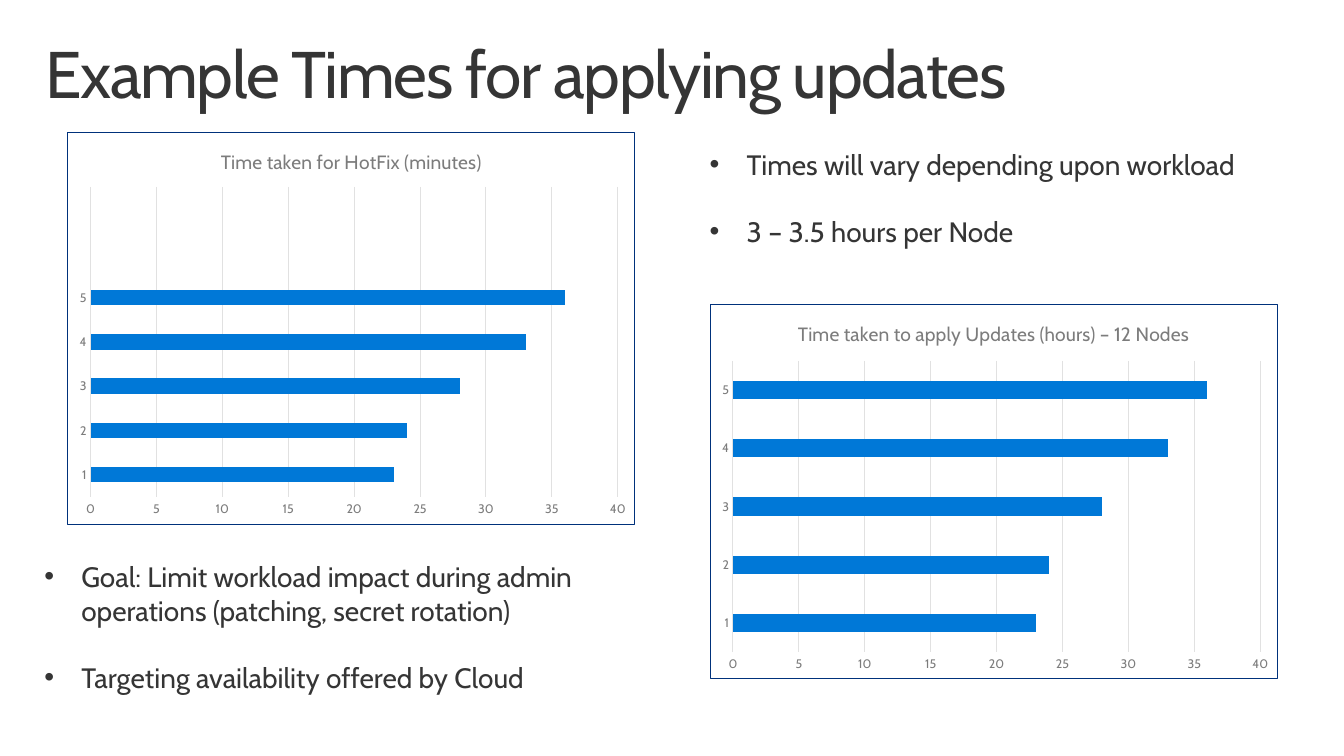
from lxml.etree import SubElement
from pptx import Presentation
from pptx.chart.data import CategoryChartData
from pptx.dml.color import RGBColor
from pptx.enum.chart import XL_CHART_TYPE, XL_TICK_MARK
from pptx.enum.text import MSO_ANCHOR
from pptx.oxml import parse_xml
from pptx.oxml.ns import nsdecls, qn
from pptx.util import Cm, Pt

FONT = "Cabin"
COLORS = {"text": "353535", "muted": "7C7C7C", "grid": "E1E1E1",
          "bar": "0078D7", "border": "00317B", "back": "FFFFFF"}
TIMES = [23, 24, 28, 33, 36]


def rgb(name):
    return RGBColor.from_string(COLORS[name])


def style_font(font, size, color="text"):
    font.name = FONT
    font.size = Pt(size)
    font.bold = False
    font.color.rgb = rgb(color)


def style_line(line, color):
    line.color.rgb = rgb(color)
    line.width = Pt(0.75)


def add_bullet(p):
    pPr = p._p.get_or_add_pPr()
    pPr.set("marL", str(Cm(0.95)))
    pPr.set("indent", str(-Cm(0.95)))
    SubElement(pPr, qn("a:buFont")).set("typeface", "Arial")
    SubElement(pPr, qn("a:buChar")).set("char", "•")


def add_text(s, box, lines, size, inset=(0, 0), bullets=False,
             line_spacing=None, gap=0, tracking=None):
    tf = s.shapes.add_textbox(*map(Cm, box)).text_frame
    tf.word_wrap = True
    tf.vertical_anchor = MSO_ANCHOR.TOP
    tf.margin_left = tf.margin_right = Cm(inset[0])
    tf.margin_top = tf.margin_bottom = Cm(inset[1])
    for i, line in enumerate(lines):
        p = tf.paragraphs[0] if i == 0 else tf.add_paragraph()
        if bullets:
            add_bullet(p)
        if line_spacing:
            p.line_spacing = line_spacing
        if i:
            p.space_before = Pt(gap)
        r = p.add_run()
        r.text = line
        style_font(r.font, size)
        if tracking:
            r.font._element.set("spc", str(tracking))


def set_plot_area(chart, left, top, width, height):
    plot_area = chart.element.find(qn("c:chart")).find(qn("c:plotArea"))
    for old in plot_area.findall(qn("c:layout")):
        plot_area.remove(old)
    plot_area.insert(0, parse_xml(
        f'<c:layout {nsdecls("c")}><c:manualLayout>'
        '<c:layoutTarget val="inner"/>'
        '<c:xMode val="edge"/><c:yMode val="edge"/>'
        f'<c:x val="{left}"/><c:y val="{top}"/>'
        f'<c:w val="{width}"/><c:h val="{height}"/>'
        '</c:manualLayout></c:layout>'))


def set_border(chart):
    chart.element.find(qn("c:chart")).addnext(parse_xml(
        f'<c:spPr {nsdecls("c", "a")}>'
        f'<a:solidFill><a:srgbClr val="{COLORS["back"]}"/></a:solidFill>'
        f'<a:ln w="{Pt(0.75)}"><a:solidFill>'
        f'<a:srgbClr val="{COLORS["border"]}"/></a:solidFill></a:ln></c:spPr>'))


def style_axis(axis):
    axis.major_tick_mark = axis.minor_tick_mark = XL_TICK_MARK.NONE
    style_font(axis.tick_labels.font, 9, "muted")


def add_bar_chart(s, box, title, empty_rows, gap_width, plot_box):
    data = CategoryChartData()
    data.categories = [str(i + 1) for i in range(len(TIMES))] + [""] * empty_rows
    data.add_series("Series 1", TIMES + [None] * empty_rows)
    chart = s.shapes.add_chart(XL_CHART_TYPE.BAR_CLUSTERED,
                               *map(Cm, box), data).chart
    style_font(chart.font, 10)
    chart.has_legend = False
    chart.has_title = True
    p = chart.chart_title.text_frame.paragraphs[0]
    r = p.add_run()
    r.text = title
    style_font(r.font, 14, "muted")

    cat_axis, val_axis = chart.category_axis, chart.value_axis
    style_axis(cat_axis)
    style_line(cat_axis.format.line, "grid")
    style_axis(val_axis)
    val_axis.format.line.fill.background()
    val_axis.minimum_scale, val_axis.maximum_scale = 0, 40
    val_axis.major_unit = 5
    val_axis.has_major_gridlines = True
    style_line(val_axis.major_gridlines.format.line, "grid")

    plot = chart.plots[0]
    plot.gap_width = gap_width
    plot.vary_by_categories = False
    fill = plot.series[0].format.fill
    fill.solid()
    fill.fore_color.rgb = rgb("bar")
    set_plot_area(chart, *plot_box)
    set_border(chart)


def main():
    prs = Presentation()
    prs.slide_width, prs.slide_height = Cm(34.54), Cm(19.43)
    s = prs.slides.add_slide(prs.slide_layouts[6])
    add_text(s, (0.76, 0.81, 33.02, 2.54),
             ["Example Times for applying updates"], 48,
             inset=(0.41, 0.25), line_spacing=0.9, tracking=-100)
    add_bar_chart(s, (1.73, 3.38, 14.6, 10.11),
                  "Time taken for HotFix (minutes)", 2, 182,
                  (0.04, 0.14, 0.93, 0.79))
    add_bar_chart(s, (18.24, 7.82, 14.6, 9.63),
                  "Time taken to apply Updates (hours) – 12 Nodes", 0, 219,
                  (0.04, 0.15, 0.93, 0.78))
    add_text(s, (18.24, 3.78, 14.6, 2.62),
             ["Times will vary depending upon workload",
              "3 – 3.5 hours per Node"], 20.4, bullets=True, gap=24.5)
    add_text(s, (1.14, 14.38, 15.72, 3.48),
             ["Goal: Limit workload impact during admin operations "
              "(patching, secret rotation)",
              "Targeting availability offered by Cloud"],
             20.4, bullets=True, gap=24.5)
    prs.save("out.pptx")


if __name__ == "__main__":
    main()
